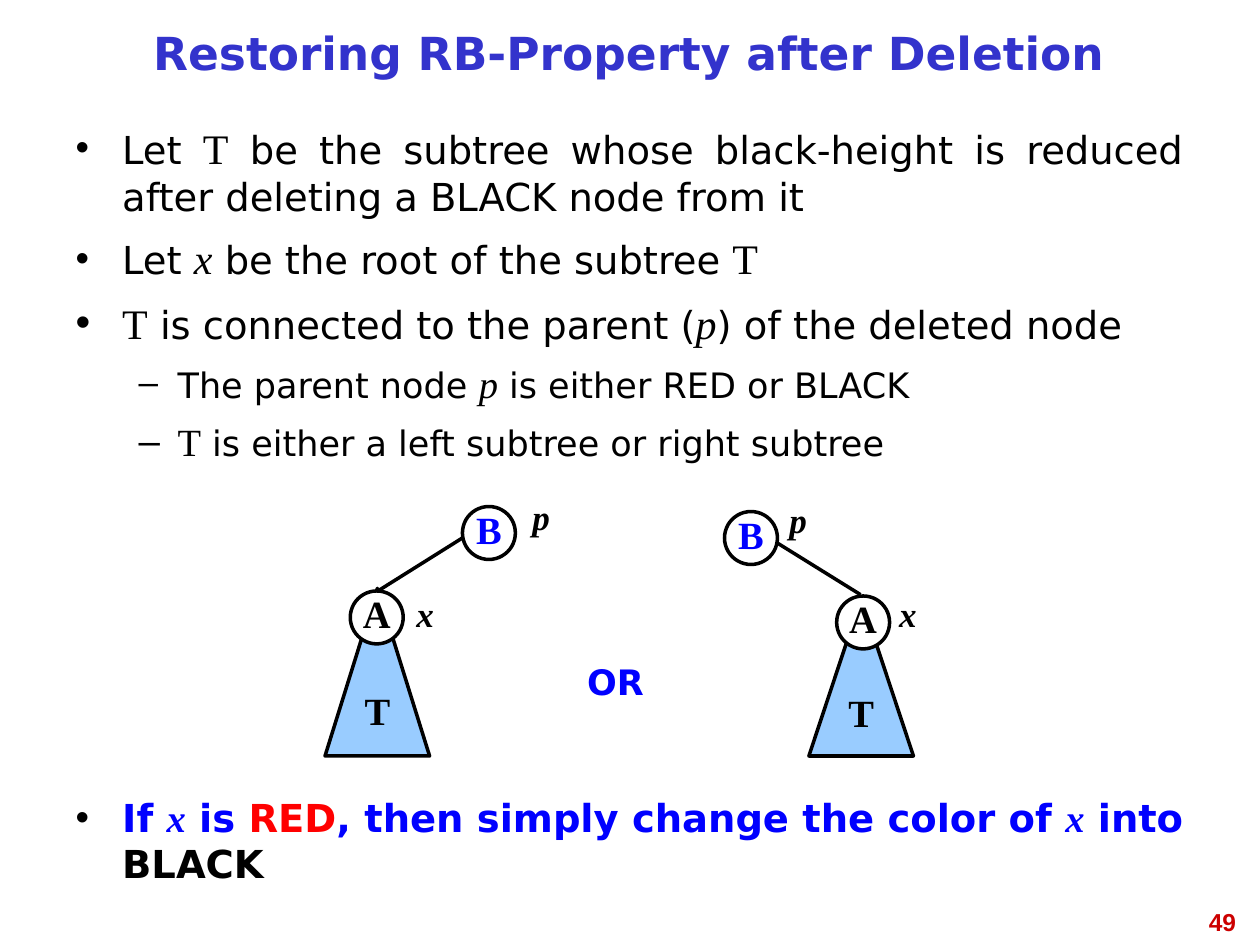
from lxml import etree
from pptx import Presentation
from pptx.dml.color import RGBColor
from pptx.enum import shapes, text
from pptx.oxml import ns
from pptx.util import Inches, Pt

SANS, SERIF = "DejaVu Sans", "Times New Roman"
BLACK, BLUE, RED, WHITE, SKY = "000000", "0000FF", "FF0000", "FFFFFF", "99CCFF"
LEVELS = [
    {"char": "•", "margin": 0.37, "hang": 0.37, "before": 8},
    {"char": "–", "margin": 0.81, "hang": 0.31, "before": 7},
]


def color(value):
    return RGBColor.from_string(value)


class SlideBuilder:
    line_width = Pt(2)
    tight = 0.81

    def __init__(self, slide):
        self.slide = slide

    def place(self, shape, box):
        for side, length in zip(("left", "top", "width", "height"), box):
            setattr(shape, side, Inches(length))

    def format_frame(self, frame, anchor, wrap=True):
        settings = {"auto_size": text.MSO_AUTO_SIZE.NONE, "vertical_anchor": anchor, "word_wrap": wrap}
        for name, value in settings.items():
            setattr(frame, name, value)

    def add_run(self, paragraph, words, ink=BLACK, **style):
        run = paragraph.add_run()
        run.text = words
        for name, value in style.items():
            setattr(run.font, name, Pt(value) if name == "size" else value)
        run.font.color.rgb = color(ink)

    def caption(self, shape, words, align=text.PP_ALIGN.CENTER, spacing=tight,
                anchor=text.MSO_ANCHOR.MIDDLE, wrap=False, **style):
        self.format_frame(shape.text_frame, anchor, wrap)
        paragraph = shape.text_frame.paragraphs[0]
        paragraph.alignment = align
        paragraph.line_spacing = spacing
        self.add_run(paragraph, words, **style)

    def title(self, words, box, **style):
        heading = self.slide.shapes.title
        self.place(heading, box)
        self.caption(heading, words, wrap=True, **style)

    def label(self, words, box, **style):
        self.caption(self.slide.shapes.add_textbox(*map(Inches, box)), words, **style)

    def bullet(self, paragraph, level):
        look = LEVELS[level]
        paragraph.level = level
        properties = paragraph._p.get_or_add_pPr()
        properties.set("marL", str(Inches(look["margin"])))
        properties.set("indent", str(-Inches(look["hang"])))
        tint = etree.SubElement(properties, ns.qn("a:buClr"))
        etree.SubElement(tint, ns.qn("a:srgbClr"), val=BLACK)
        etree.SubElement(properties, ns.qn("a:buChar"), char=look["char"])

    def bullets(self, index, box, items):
        body = self.slide.placeholders[index]
        self.place(body, box)
        frame = body.text_frame
        self.format_frame(frame, text.MSO_ANCHOR.TOP)
        for number, (level, runs) in enumerate(items):
            paragraph = frame.add_paragraph() if number else frame.paragraphs[0]
            self.bullet(paragraph, level)
            paragraph.alignment = text.PP_ALIGN.JUSTIFY
            paragraph.line_spacing = 1.0
            paragraph.space_before = Pt(LEVELS[level]["before"] if number else 0)
            for words, style in runs:
                self.add_run(paragraph, words, **style)

    def outline(self, kind, box, words, fill=None, ink=BLACK):
        part = self.slide.shapes.add_shape(kind, *map(Inches, box))
        part.shadow.inherit = False
        if fill:
            part.fill.solid()
            part.fill.fore_color.rgb = color(fill)
        else:
            part.fill.background()
        part.line.color.rgb = color(BLACK)
        part.line.width = self.line_width
        self.caption(part, words, size=22, name=SERIF, bold=True, ink=ink)

    def edge(self, start, end):
        link = self.slide.shapes.add_connector(
            shapes.MSO_CONNECTOR.STRAIGHT, *map(Inches, start + end))
        link.line.color.rgb = color(BLACK)
        link.line.width = self.line_width
        etree.SubElement(link._element.spPr, ns.qn("a:effectLst"))

    def tree(self, parent, root, subtree, edge, parent_name, root_name):
        node = (0.42, 0.42)
        oval = shapes.MSO_SHAPE.OVAL
        self.outline(oval, parent + node, "B", ink=BLUE)
        self.edge(*edge)
        self.outline(shapes.MSO_SHAPE.ISOSCELES_TRIANGLE, subtree, "T", SKY)
        self.outline(oval, root + node, "A", WHITE)
        for words, corner in (("p", parent_name), ("x", root_name)):
            self.label(words, corner + (0.75, 0.42), size=20, name=SERIF, bold=True, italic=True)


def main():
    deck = Presentation()
    deck.slide_width, deck.slide_height = Inches(10), Inches(7.5)
    builder = SlideBuilder(deck.slides.add_slide(deck.slide_layouts[3]))

    builder.title("Restoring RB-Property after Deletion", (0.5, 0.08, 8.99, 0.75),
                  size=26, name=SANS, bold=True, ink="3333CC")

    plain, sub = {"size": 22, "name": SANS}, {"size": 20, "name": SANS}
    tree_name, sub_tree = {"size": 24, "name": SERIF}, {"size": 22, "name": SERIF}
    node_name, sub_node = {**tree_name, "italic": True}, {**sub_tree, "italic": True}
    builder.bullets(1, (0.5, 0.92, 8.99, 3), [
        (0, [("Let ", plain), ("T", tree_name),
             (" be the subtree whose black-height is reduced after deleting a BLACK node from it", plain)]),
        (0, [("Let ", plain), ("x", node_name), (" be the root of the subtree ", plain), ("T", tree_name)]),
        (0, [("T", tree_name), (" is connected to the parent (", plain), ("p", node_name),
             (") of the deleted node", plain)]),
        (1, [("The parent node ", sub), ("p", sub_node), (" is either RED or BLACK", sub)]),
        (1, [("T", sub_tree), (" is either a left subtree or right subtree", sub)]),
    ])

    builder.tree(parent=(5.75, 4.06), root=(6.64, 4.73), subtree=(6.42, 4.75, 0.83, 1.25),
                 edge=((6.17, 4.31), (6.83, 4.72)), parent_name=(5.96, 3.94), root_name=(6.83, 4.69))
    builder.tree(parent=(3.67, 4.02), root=(2.78, 4.69), subtree=(2.58, 4.67, 0.83, 1.33),
                 edge=((3, 4.69), (3.67, 4.27)), parent_name=(3.92, 3.92), root_name=(3, 4.69))
    builder.label("OR", (4.5, 5.19, 0.77, 0.44), spacing=1.0, anchor=text.MSO_ANCHOR.TOP, wrap=True,
                  size=20, name=SANS, bold=True, ink=BLUE)

    strong = {**plain, "bold": True}
    rule = {**strong, "ink": BLUE}
    rule_node = {**rule, "name": SERIF, "italic": True}
    builder.bullets(2, (0.5, 6.25, 8.99, 0.92), [
        (0, [("If ", rule), ("x", rule_node), (" is ", rule), ("RED", {**strong, "ink": RED}),
             (", then simply change the color of ", rule), ("x", rule_node), (" into", rule),
             (" BLACK", strong)]),
    ])

    builder.label("49", (7.58, 7.15, 2.33, 0.52), align=text.PP_ALIGN.RIGHT, spacing=1.0,
                  anchor=text.MSO_ANCHOR.TOP, wrap=True, size=14, name="Arial", bold=True, ink="CC0000")
    deck.save("out.pptx")


if __name__ == "__main__":
    main()
